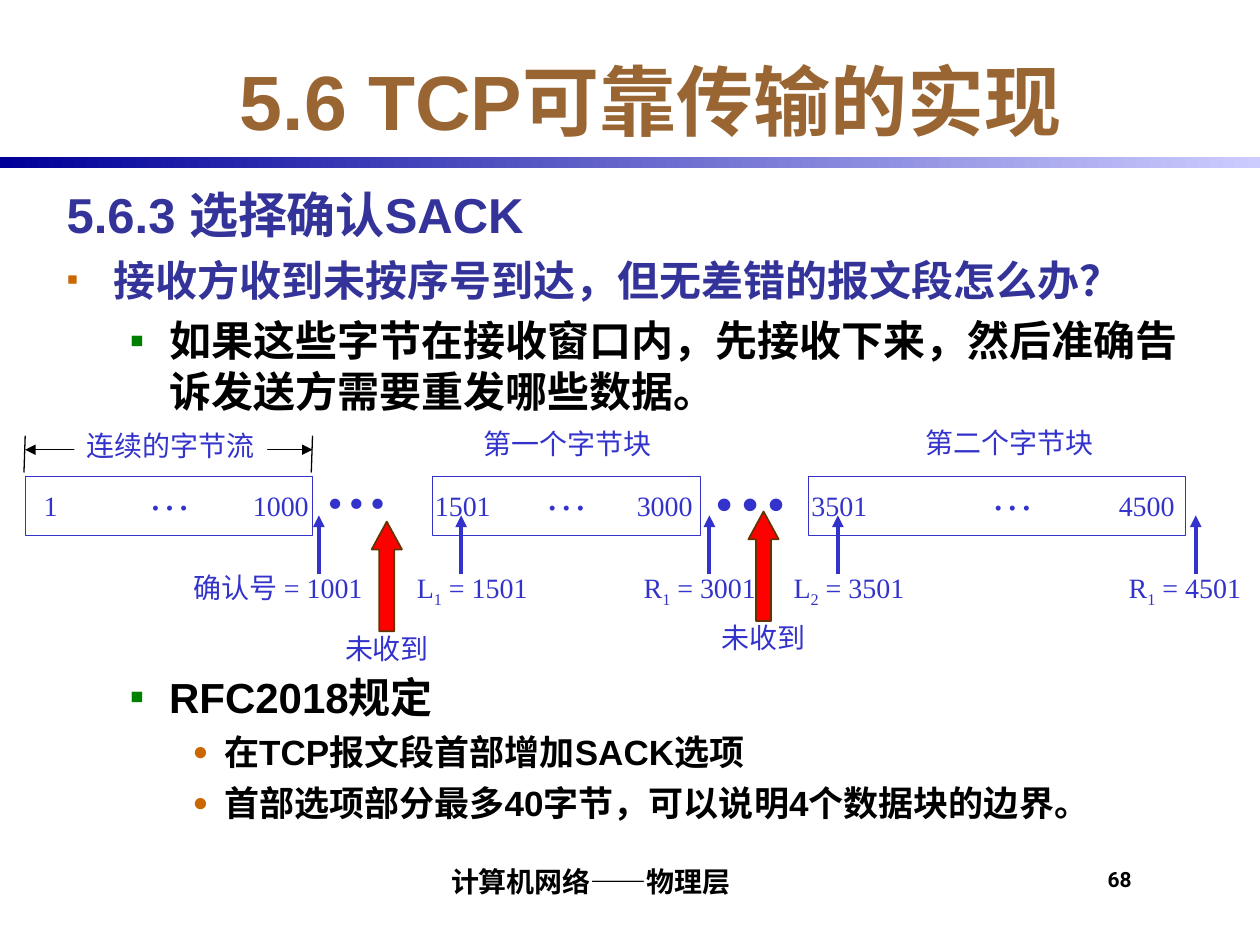
from lxml import etree
from pptx import Presentation
from pptx.dml.color import RGBColor
from pptx.enum import shapes, text
from pptx.oxml import ns
from pptx.util import Pt

COLORS = {"title": "996633", "heading": "333399", "ink": "000000", "diagram": "3333CC",
          "paper": "FFFFFF", "orange": "CC6600", "green": "008000",
          "lost": "FF0000", "lost_edge": "663300", "dark": "000099", "light": "CCCCFF"}
SERIF = {"name": "Times New Roman", "size": Pt(16), "color": "diagram"}
FOOT = {"name": "Roboto", "bold": True, "color": "ink"}
BODY = {"name": "Arial", "bold": True, "color": "ink"}
INSETS = (7.2, 3.6, 7.2, 3.6)


def rgb(key):
    return RGBColor.from_string(COLORS[key])


def add_element(parent, tag, **values):
    return etree.SubElement(parent, ns.qn(tag), values)


def set_format(font, values):
    for name, value in values.items():
        if name == "color":
            font.color.rgb = rgb(value)
        else:
            setattr(font, name, value)


def prepare_frame(frame, insets=INSETS, wrap=True, anchor=text.MSO_ANCHOR.TOP):
    sides = ("left", "top", "right", "bottom")
    values = {f"margin_{side}": Pt(inset) for side, inset in zip(sides, insets)}
    values.update(word_wrap=wrap, auto_size=text.MSO_AUTO_SIZE.NONE, vertical_anchor=anchor)
    for name, value in values.items():
        setattr(frame, name, value)


def add_text(page, box, words, font, align=None, **frame_values):
    """Place one line of text; words after an underscore mark are a subscript."""
    label = page.shapes.add_textbox(*map(Pt, box))
    prepare_frame(label.text_frame, **frame_values)
    para = label.text_frame.paragraphs[0]
    para.alignment = align
    parts = [words] if isinstance(words, str) else words
    for index, part in enumerate(parts):
        span = para.add_run()
        span.text = part
        set_format(span.font, font)
        if index == 1:
            span.font._element.set("baseline", "-25000")
    return label


def add_shape(page, kind, box, fill, line=None, width=0.75):
    shape = page.shapes.add_shape(kind, *map(Pt, box))
    shape.shadow.inherit = False
    shape.fill.solid()
    shape.fill.fore_color.rgb = rgb(fill)
    if line:
        shape.line.color.rgb = rgb(line)
        shape.line.width = Pt(width)
    else:
        shape.line.fill.background()
    return shape


def add_line(page, start, end, color, width, ends=()):
    line = page.shapes.add_connector(shapes.MSO_CONNECTOR.STRAIGHT, *map(Pt, start + end))
    line.line.color.rgb = rgb(color)
    line.line.width = Pt(width)
    for end_tag in ends:
        add_element(line.line._get_or_add_ln(), end_tag, type="triangle")
    add_element(line._element.spPr, "a:effectLst")


def add_header(page, box):
    left, top, width, height = box
    # Gradient rule under the title
    rule = add_shape(page, shapes.MSO_SHAPE.RECTANGLE, (0, top + height, 720, 6), "dark")
    rule.fill.gradient()
    rule.fill.gradient_angle = 180
    for stop, key in zip(rule.fill.gradient_stops, ("light", "dark")):
        stop.color.rgb = rgb(key)
    # Title
    title = page.shapes.title
    for name, value in zip(("left", "top", "width", "height"), box):
        setattr(title, name, Pt(value))
    prepare_frame(title.text_frame, anchor=text.MSO_ANCHOR.MIDDLE)
    para = title.text_frame.paragraphs[0]
    para.alignment = text.PP_ALIGN.CENTER
    span = para.add_run()
    span.text = "5.6 TCP可靠传输的实现"
    set_format(span.font, {**BODY, "size": Pt(44), "color": "title"})


# Style: left margin, indent, space before, size, text colour, bullet, bullet colour, bullet %
STYLES = {"heading": (27, -27, 7, 28, "heading", None, None, 100),
          "question": (27, -27, 6, 24, "heading", "▪", "orange", 80),
          "point": (58.5, -22.5, 6, 24, "ink", "▪", "green", 100),
          "detail": (90, -18, 5, 20, "ink", "●", "orange", 75)}


def add_body(page, box, items):
    frame = page.shapes.add_textbox(*map(Pt, box)).text_frame
    prepare_frame(frame)
    for index, (style, words) in enumerate(items):
        margin, indent, before, size, color, bullet, bullet_color, percent = STYLES[style]
        para = frame.paragraphs[0] if index == 0 else frame.add_paragraph()
        props = para._p.get_or_add_pPr()
        props.set("marL", str(Pt(margin)))
        props.set("indent", str(Pt(indent)))
        if bullet:
            add_element(add_element(props, "a:buClr"), "a:srgbClr", val=COLORS[bullet_color])
            add_element(props, "a:buSzPct", val=str(percent * 1000))
            add_element(props, "a:buFont", typeface="Arial")
            add_element(props, "a:buChar", char=bullet)
        if index:
            para.space_before = Pt(before)
        span = para.add_run()
        span.text = words
        set_format(span.font, {**BODY, "size": Pt(size), "color": color})


def add_byte_diagram(page, box):
    left, top = box[:2]

    def place(x, y, width, height, words, **changes):
        return add_text(page, (left + x, top + y, width, height), words,
                        {**SERIF, **changes}, wrap=False)

    # Span marker over the continuous bytes
    add_line(page, (left, top + 17), (left + 164.2, top + 17), "ink", 0.75,
             ("a:headEnd", "a:tailEnd"))
    for x in (0, 164.2):
        add_line(page, (left + x, top + 9), (left + x - 0.7, top + 30), "ink", 0.75)

    # Blocks: x, width, first and last byte with offsets, dots offset, caption and its place
    blocks = [(0, 164.2, ("1", 3.5), ("1000", 123), 63.4, ("连续的字节流", 28.1, 1.2)),
              (232.6, 153.4, ("1501", -5.6), ("3000", 109.8), 57.6, ("第一个字节块", 22.3, 0.5)),
              (447.8, 215.3, ("3501", -5.6), ("4500", 170), 97.2, ("第二个字节块", 59.8, -0.2))]
    for x, width, first, last, dots, (caption, dx, y) in blocks:
        add_shape(page, shapes.MSO_SHAPE.RECTANGLE, (left + x, top + 32.2, width, 33.8),
                  "paper", "diagram")
        for number, offset in (first, last):
            place(x + offset, 35.8, 14.4 + 8 * len(number), 26.6, number)
        place(x + dots, 24.2, 38.2, 36, "…", size=Pt(24))
        label = place(x + dx, y, 110.2, 26.6, caption)
        if x == 0:
            label.fill.solid()
            label.fill.fore_color.rgb = rgb("paper")

    # Gaps between blocks
    place(164.2, 11.3, 50.4, 50.4, "…", size=Pt(36), bold=True)
    place(385.2, 4.1, 58.3, 60.5, "…", size=Pt(44), bold=True)

    # Edge pointers: arrow x, label x, label width, label
    pointers = [(167.8, 89.3, 114.5, "确认号 = 1001"),
                (249.1, 216.7, 77.8, ("L", "1", " = 1501")),
                (391, 346.3, 78.5, ("R", "1", " = 3001")),
                (464.4, 432, 77.8, ("L", "2", " = 3501")),
                (668.9, 623.5, 78.5, ("R", "1", " = 4501"))]
    for arrow_x, label_x, width, words in pointers:
        add_line(page, (left + arrow_x, top + 88.3), (left + arrow_x, top + 54.5),
                 "diagram", 2.25, ("a:tailEnd",))
        place(label_x, 82.6, width, 29.5, words)

    # Missing bytes
    for x, y in ((198, 58.1), (413.3, 52.3)):
        arrow = add_shape(page, shapes.MSO_SHAPE.UP_ARROW, (left + x, top + y, 17.3, 62.6),
                          "lost", "lost_edge", 1)
        arrow.adjustments[0], arrow.adjustments[1] = 0.5, 0.92
        place(x - 22.3, y + 59, 61.9, 26.6, "未收到")


def add_footer(page, box):
    left, top, width, height = box
    add_text(page, box, "计算机网络——物理层", {**FOOT, "size": Pt(16)}, text.PP_ALIGN.CENTER,
             insets=(3, 0, 0, 3), anchor=text.MSO_ANCHOR.BOTTOM)
    add_text(page, (left + 480, top + 6, 42, height), "68", {**FOOT, "size": Pt(12)},
             insets=(3, 3, 0, 0))


def main():
    deck = Presentation()
    deck.slide_width, deck.slide_height = Pt(720), Pt(540)
    page = deck.slides.add_slide(deck.slide_layouts[5])
    add_header(page, (66, 24, 612, 66))
    add_body(page, (31, 102, 669, 138), [
        ("heading", "5.6.3 选择确认SACK"),
        ("question", "接收方收到未按序号到达，但无差错的报文段怎么办？"),
        ("point", "如果这些字节在接收窗口内，先接收下来，然后准确告诉发送方需要重发哪些数据。")])
    add_body(page, (31, 380, 669, 111), [
        ("point", "RFC2018规定"),
        ("detail", "在TCP报文段首部增加SACK选项"),
        ("detail", "首部选项部分最多40字节，可以说明4个数据块的边界。")])
    add_byte_diagram(page, (14.4, 240, 702, 144))
    add_footer(page, (150, 486, 372, 30))
    deck.save("out.pptx")


if __name__ == "__main__":
    main()
